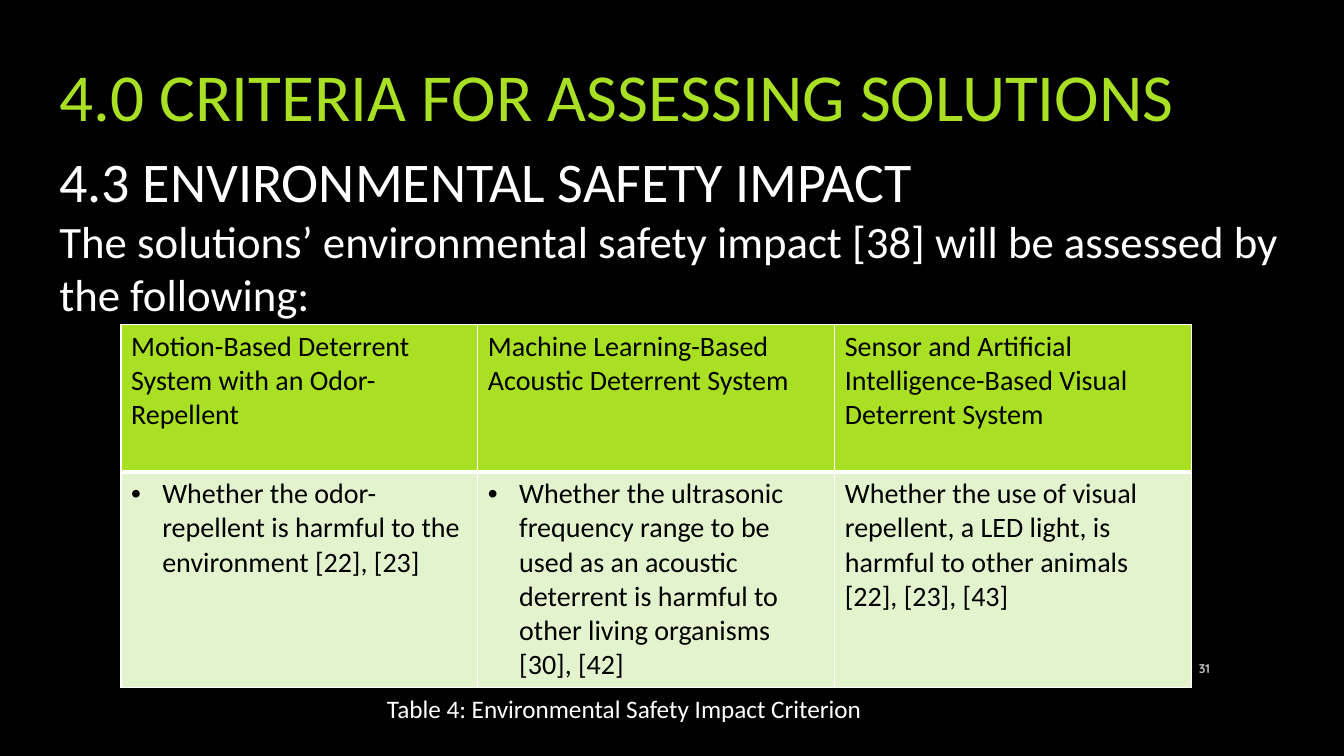
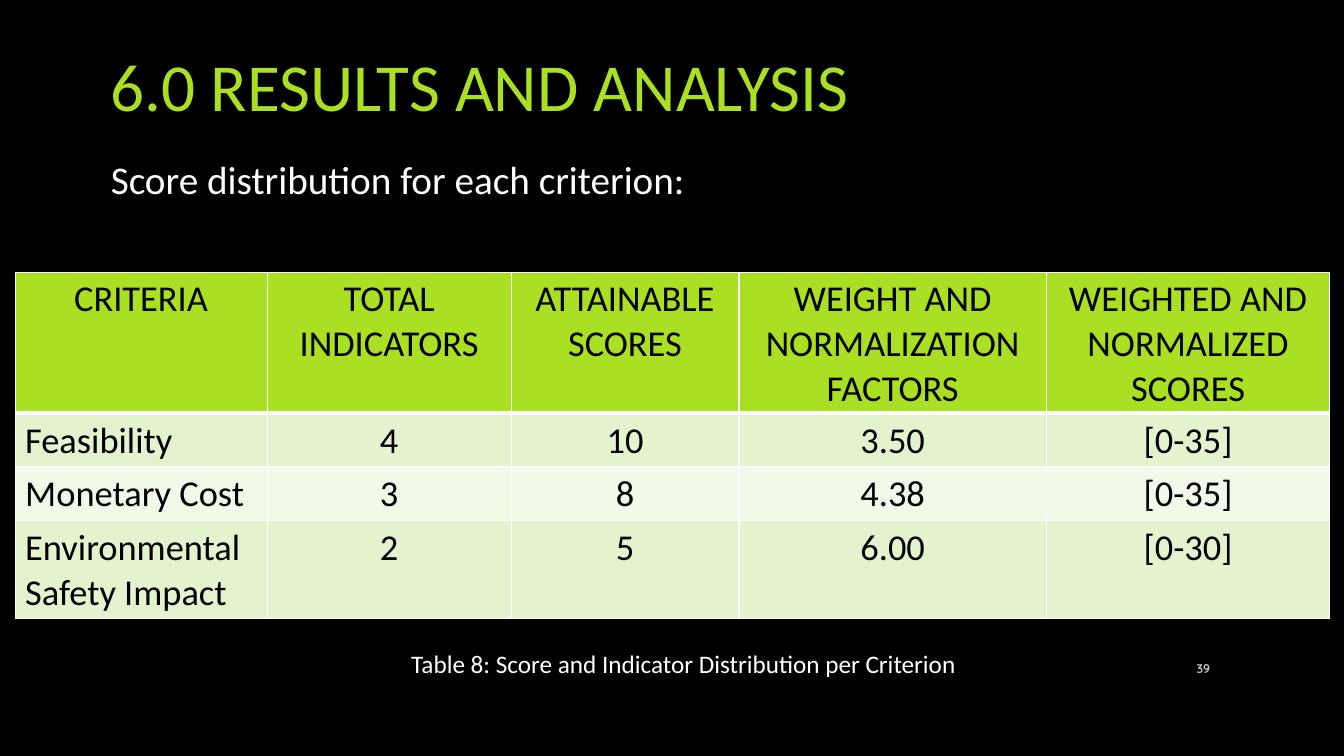
import pptx
import pptx.dml.color
import pptx.enum.text
import pptx.oxml
import pptx.oxml.ns
import pptx.util
import lxml.etree

Inches = pptx.util.Inches
Align = pptx.enum.text.PP_ALIGN
Anchor = pptx.enum.text.MSO_ANCHOR

COLORS = {
    "background": "000000",
    "accent": "A9E023",
    "light": "FFFFFF",
    "dark": "000000",
    "number": "BFBFBF",
    "band": "E2F3CD",
    "pale_band": "F1F9E8",
}

# Text styles shared by both slides
STYLES = {
    "title": {"size": 48, "color": "accent"},
    "heading": {"size": 40, "color": "light"},
    "lead": {"size": 32, "color": "light"},
    "intro": {"size": 28, "color": "light"},
    "caption": {"size": 18, "color": "light"},
    "number": {"size": 9, "color": "number", "name": "Quicksand", "bold": True},
    "cell": {"size": 20, "color": "dark"},
    "large_cell": {"size": 26, "color": "dark"},
}

NUMBER_BOX = (11.5, 6.43, 0.6, 0.4)
THIN, THICK = 1, 3
BULLET_INDENT = 0.31


def rgb(color):
    return pptx.dml.color.RGBColor.from_string(COLORS[color])


def style_paragraph(paragraph, text, style, alignment=Align.LEFT):
    paragraph.text = text
    paragraph.alignment = alignment
    font_format = {"name": "Calibri", "bold": False, **STYLES[style]}
    font_format["size"] = pptx.util.Pt(font_format["size"])
    color = font_format.pop("color")
    font = paragraph.runs[0].font
    for attribute, value in font_format.items():
        setattr(font, attribute, value)
    font.color.rgb = rgb(color)


def add_text(slide, box, lines, anchor=Anchor.TOP, wrap=True, alignment=Align.LEFT):
    """Place (text, style) lines as paragraphs in one box."""
    frame = slide.shapes.add_textbox(*map(Inches, box)).text_frame
    frame.word_wrap = wrap
    frame.vertical_anchor = anchor
    for index, (text, style) in enumerate(lines):
        paragraph = frame.add_paragraph() if index else frame.paragraphs[0]
        style_paragraph(paragraph, text, style, alignment)


def add_bullet(paragraph):
    properties = paragraph._p.get_or_add_pPr()
    indent = Inches(BULLET_INDENT)
    properties.set("marL", str(indent))
    properties.set("indent", str(-indent))
    for tag, attribute, value in (("a:buFont", "typeface", "Arial"), ("a:buChar", "char", "•")):
        element = lxml.etree.SubElement(properties, pptx.oxml.ns.qn(tag))
        element.set(attribute, value)


def set_borders(cell, top, bottom):
    properties = cell._tc.get_or_add_tcPr()
    widths = {"lnL": THIN, "lnR": THIN, "lnT": top, "lnB": bottom}
    for position, (side, width) in enumerate(widths.items()):
        line = pptx.oxml.parse_xml(
            f'<a:{side} {pptx.oxml.ns.nsdecls("a")} w="{pptx.util.Pt(width)}">'
            f'<a:solidFill><a:srgbClr val="{COLORS["light"]}"/></a:solidFill></a:{side}>'
        )
        properties.insert(position, line)


def add_criteria_table(slide, origin, widths, heights, rows, style, centered=False, bullets=()):
    """Green header row over banded rows; bullets lists the bulleted body columns."""
    size = (sum(widths), sum(heights))
    frame = slide.shapes.add_table(len(rows), len(widths), *map(Inches, origin + size))
    table = frame.table
    for column, width in zip(table.columns, widths):
        column.width = Inches(width)
    for row, height in zip(table.rows, heights):
        row.height = Inches(height)
    for row_index, texts in enumerate(rows):
        header = row_index == 0
        fill = "accent" if header else "band" if row_index % 2 else "pale_band"
        for column_index, text in enumerate(texts):
            cell = table.cell(row_index, column_index)
            cell.fill.solid()
            cell.fill.fore_color.rgb = rgb(fill)
            set_borders(cell, THICK if row_index == 1 else THIN, THICK if header else THIN)
            paragraph = cell.text_frame.paragraphs[0]
            if not header and column_index in bullets:
                add_bullet(paragraph)
            middle = centered and (header or column_index > 0)
            style_paragraph(paragraph, text, style, Align.CENTER if middle else Align.LEFT)


def add_table_slide(presentation, title, body, table, caption, number):
    """Title, body text, table, caption and slide number; texts come as (box, content)."""
    slide = presentation.slides.add_slide(presentation.slide_layouts[6])
    slide.background.fill.solid()
    slide.background.fill.fore_color.rgb = rgb("background")
    add_criteria_table(slide, **table)
    add_text(slide, title[0], [(title[1], "title")], anchor=Anchor.MIDDLE)
    add_text(slide, *body)
    add_text(slide, caption[0], [(caption[1], "caption")], wrap=False)
    add_text(slide, NUMBER_BOX, [(number, "number")], Anchor.MIDDLE, alignment=Align.RIGHT)


def main():
    presentation = pptx.Presentation()
    presentation.slide_width = Inches(13.33)
    presentation.slide_height = Inches(7.5)

    # Environmental safety criterion
    add_table_slide(
        presentation,
        title=((0.49, 0.16, 11.45, 1.56), "4.0 CRITERIA FOR ASSESSING SOLUTIONS"),
        body=((0.49, 1.4, 12.35, 1.85), [
            ("4.3 ENVIRONMENTAL SAFETY IMPACT", "heading"),
            ("The solutions’ environmental safety impact [38] will be assessed by the following:",
             "lead"),
        ]),
        table={
            "origin": (1.2, 3.22),
            "widths": [3.54] * 3,
            "heights": [1.46, 2.14],
            "style": "cell",
            "bullets": (0, 1),
            "rows": [
                ("Motion-Based Deterrent System with an Odor-Repellent",
                 "Machine Learning-Based Acoustic Deterrent System",
                 "Sensor and Artificial Intelligence-Based Visual Deterrent System"),
                ("Whether the odor-repellent is harmful to the environment [22], [23]",
                 "Whether the ultrasonic frequency range to be used as an acoustic deterrent "
                 "is harmful to other living organisms [30], [42]",
                 "Whether the use of visual repellent, a LED light, is harmful to other "
                 "animals [22], [23], [43]"),
            ],
        },
        caption=((3.74, 6.83, 4.96, 0.4), "Table 4: Environmental Safety Impact Criterion"),
        number="31",
    )

    # Score distribution
    add_table_slide(
        presentation,
        title=((1, 0.03, 11.65, 1.62), "6.0 RESULTS AND ANALYSIS"),
        body=((1, 1.49, 11.38, 0.57), [("Score distribution for each criterion:", "intro")]),
        table={
            "origin": (0.15, 2.7),
            "widths": [2.5, 2.42, 2.26, 3.05, 2.81],
            "heights": [1.4, 0.53, 0.53, 0.97],
            "style": "large_cell",
            "centered": True,
            "rows": [
                ("CRITERIA", "TOTAL INDICATORS", "ATTAINABLE SCORES",
                 "WEIGHT AND NORMALIZATION FACTORS", "WEIGHTED AND NORMALIZED SCORES"),
                ("Feasibility", "4", "10", "3.50", "[0-35]"),
                ("Monetary Cost", "3", "8", "4.38", "[0-35]"),
                ("Environmental Safety Impact", "2", "5", "6.00", "[0-30]"),
            ],
        },
        caption=((3.98, 6.38, 5.67, 0.4), "Table 8: Score and Indicator Distribution per Criterion"),
        number="39",
    )

    presentation.save("out.pptx")


if __name__ == "__main__":
    main()
